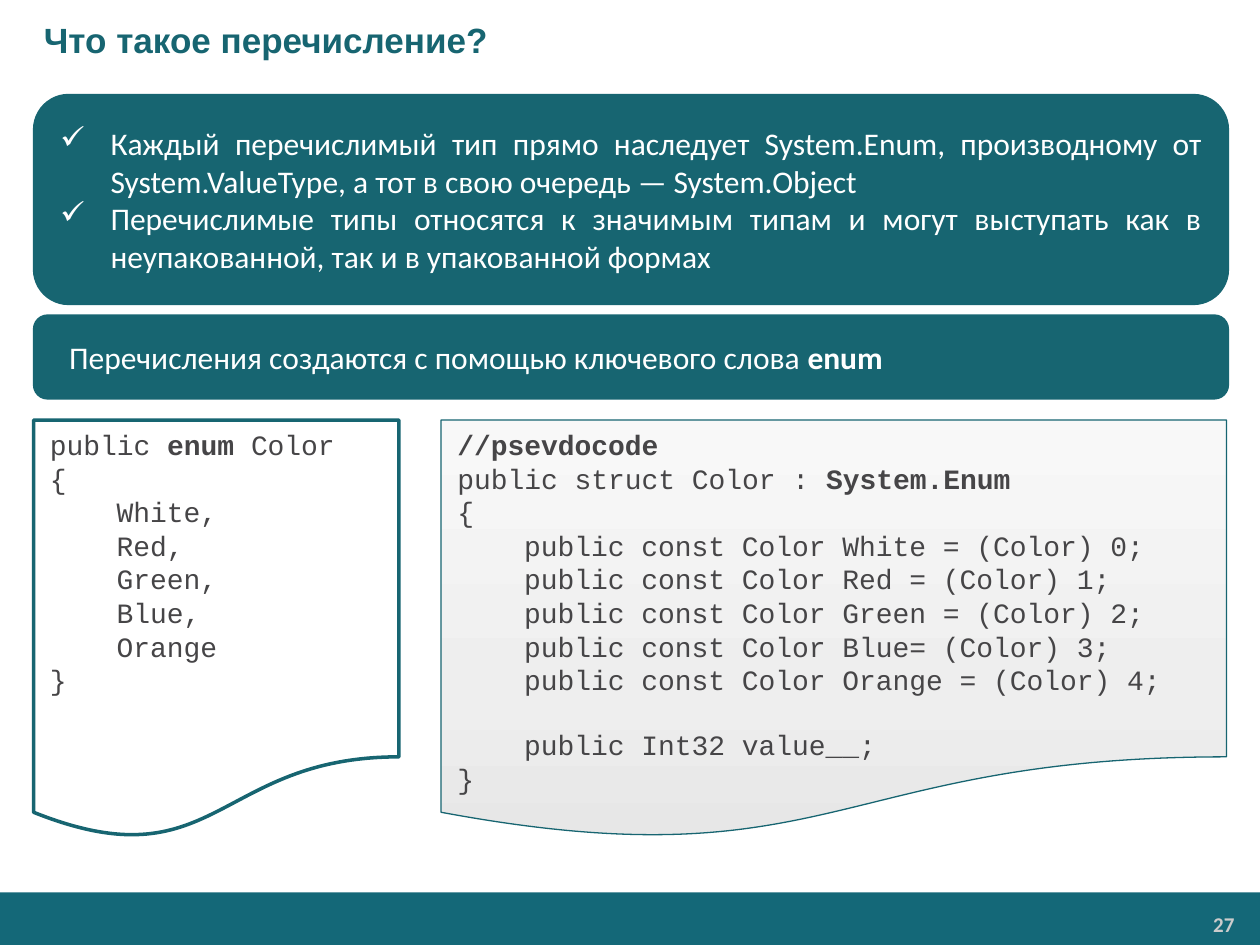
from lxml import etree
from pptx import Presentation
from pptx.dml.color import RGBColor
from pptx.enum.shapes import MSO_SHAPE
from pptx.enum.text import MSO_ANCHOR, PP_ALIGN
from pptx.oxml.ns import qn
from pptx.util import Inches, Pt

RECTANGLE = MSO_SHAPE.RECTANGLE
ROUNDED = MSO_SHAPE.ROUNDED_RECTANGLE
DOCUMENT = MSO_SHAPE.FLOWCHART_DOCUMENT
TOP, MIDDLE = MSO_ANCHOR.TOP, MSO_ANCHOR.MIDDLE
LEFT, RIGHT, JUSTIFY = PP_ALIGN.LEFT, PP_ALIGN.RIGHT, PP_ALIGN.JUSTIFY

COLUMNS, ROWS = 120, 90
CELL = Inches(10) / COLUMNS
MARGIN, BODY_WIDTH = 3.2, 113.8
TEAL, FOOTER_TEAL, WHITE, CODE_GRAY = "176571", "146878", "FFFFFF", "464547"
PAPER_GRADIENT = [(0, "E7E7E7"), (35, "EEEEEE"), (100, "F8F8F8")]

TITLE_FONT = {"name": "Arial", "size": Pt(20), "bold": True, "color": TEAL}
BODY_FONT = {"name": "Calibri", "size": Pt(18), "color": WHITE}
CODE_FONT = {"name": "Courier New", "size": Pt(16), "color": CODE_GRAY}
NUMBER_FONT = {"name": "Calibri", "size": Pt(12), "bold": True, "color": "CCCCCC"}
CODE_INDENT = 0.53
CODE_LINE = Pt(18)

FACTS = [
    "Каждый перечислимый тип прямо наследует System.Enum, производному от "
    "System.ValueType, а тот в свою очередь — System.Object",
    "Перечислимые типы относятся к значимым типам и могут выступать как в "
    "неупакованной, так и в упакованной формах",
]
KEYWORD_NOTE = [("Перечисления cоздаются с помощью ключевого слова ", False), ("enum", True)]
COLOR_NAMES = ["White", "Red", "Green", "Blue", "Orange"]


def rgb(value):
    """Turn a hex string into a colour."""
    return RGBColor.from_string(value)


def place(box):
    """Turn grid columns and rows into slide lengths."""
    return [round(length * CELL) for length in box]


def set_frame(shape, anchor, insets):
    """Set wrapping, anchor and horizontal and vertical insets of a text frame."""
    horizontal, vertical = (Inches(inset) for inset in insets)
    values = {
        "word_wrap": True, "vertical_anchor": anchor,
        "margin_left": horizontal, "margin_right": horizontal,
        "margin_top": vertical, "margin_bottom": vertical,
    }
    for name, value in values.items():
        setattr(shape.text_frame, name, value)


def add_paragraph(shape, runs, font, align=LEFT, indent=0, bullet=None, gap=0):
    """Write one paragraph of (text, bold) runs, reusing the empty first one."""
    frame = shape.text_frame
    paragraph = frame.paragraphs[0]
    if paragraph.runs:
        paragraph = frame.add_paragraph()
    paragraph.alignment = align
    paragraph.space_before = gap
    properties = paragraph._p.get_or_add_pPr()
    properties.set("marL", str(Inches(indent)))
    properties.set("indent", str(-Inches(indent) if bullet else 0))
    if bullet:
        etree.SubElement(properties, qn("a:buChar")).set("char", bullet)
    for text, bold in runs:
        run = paragraph.add_run()
        run.text = text
        for name, value in {"bold": bold, **font}.items():
            if name == "color":
                run.font.color.rgb = rgb(value)
            else:
                setattr(run.font, name, value)


def add_panel(slide, kind, box, fill, line=None, line_width=0.75, anchor=MIDDLE):
    """Draw a filled shape that is ready for text."""
    shape = slide.shapes.add_shape(kind, *place(box))
    shape.shadow.inherit = False
    shape.fill.solid()
    shape.fill.fore_color.rgb = rgb(fill)
    if line:
        shape.line.color.rgb = rgb(line)
        shape.line.width = Pt(line_width)
    else:
        shape.line.fill.background()
    set_frame(shape, anchor, (0.13, 0.06))
    return shape


def fill_upward(shape, stops):
    """Fill a shape with a gradient that runs from bottom to top."""
    shape.fill.gradient()
    shape.fill.gradient_angle = 90
    stop_list = shape._element.spPr.find(".//" + qn("a:gsLst"))
    stop_list.clear()
    for percent, color in stops:
        stop = etree.SubElement(stop_list, qn("a:gs"), pos=str(percent * 1000))
        etree.SubElement(stop, qn("a:srgbClr"), val=color)


def add_footer(slide, box, number):
    """Draw the bottom band with the slide number."""
    left, top, width, height = box
    add_panel(slide, RECTANGLE, box, FOOTER_TEAL)
    label = slide.shapes.add_textbox(*place((left + 98.8, top + 1.3, 19.6, 3.4)))
    set_frame(label, TOP, (0.07, 0.04))
    add_paragraph(label, [(number, True)], NUMBER_FONT, RIGHT)


def add_title(slide, box, text):
    """Write the slide title."""
    title = slide.shapes.add_textbox(*place(box))
    set_frame(title, MIDDLE, (0.1, 0.05))
    add_paragraph(title, [(text, True)], TITLE_FONT, indent=0.25)


def add_facts(slide, box, facts):
    """Draw the rounded panel with ticked facts."""
    panel = add_panel(slide, ROUNDED, box, TEAL, TEAL)
    for fact in facts:
        add_paragraph(panel, [(fact, False)], BODY_FONT, JUSTIFY, 0.4, "✓")


def add_note(slide, box, runs):
    """Draw the rounded panel with a single statement."""
    panel = add_panel(slide, ROUNDED, box, TEAL, TEAL)
    add_paragraph(panel, runs, BODY_FONT, JUSTIFY, 0.12)


def add_code(slide, box, head, body, line_width, gradient=None, tail=None):
    """Draw a document shape with a braced block of code and an optional last member."""
    page = add_panel(slide, DOCUMENT, box, WHITE, TEAL, line_width, TOP)
    if gradient:
        fill_upward(page, gradient)
    for runs in head + [[("{", False)]]:
        add_paragraph(page, runs, CODE_FONT, JUSTIFY)
    for text in body:
        add_paragraph(page, [(text, False)], CODE_FONT, JUSTIFY, CODE_INDENT)
    if tail:
        add_paragraph(page, [(tail, False)], CODE_FONT, JUSTIFY, CODE_INDENT, gap=CODE_LINE)
    add_paragraph(page, [("}", False)], CODE_FONT, JUSTIFY)


def main():
    """Build the slide and save it."""
    presentation = Presentation()
    presentation.slide_width = round(COLUMNS * CELL)
    presentation.slide_height = round(ROWS * CELL)
    slide = presentation.slides.add_slide(presentation.slide_layouts[6])

    add_footer(slide, (0, 85, COLUMNS, 5), "27")
    add_title(slide, (0, 0, COLUMNS, 7.5), "Что такое перечисление?")
    add_facts(slide, (MARGIN, 9, BODY_WIDTH, 20), FACTS)
    add_note(slide, (MARGIN, 30, BODY_WIDTH, 8), KEYWORD_NOTE)

    members = [name + "," for name in COLOR_NAMES[:-1]] + COLOR_NAMES[-1:]
    enum_head = [[("public ", False), ("enum ", True), ("Color", False)]]
    add_code(slide, (MARGIN, 40, 34.8, 40), enum_head, members, 2)

    constants = [
        f"public const Color {name}{'=' if name == 'Blue' else ' ='} (Color) {value};"
        for value, name in enumerate(COLOR_NAMES)
    ]
    struct_head = [
        [("//psevdocode", True)],
        [("public struct Color : ", False), ("System.Enum", True)],
    ]
    add_code(slide, (42, 40, 74.8, 40), struct_head, constants, 0.75,
             PAPER_GRADIENT, "public Int32 value__;")
    presentation.save("out.pptx")


if __name__ == "__main__":
    main()
